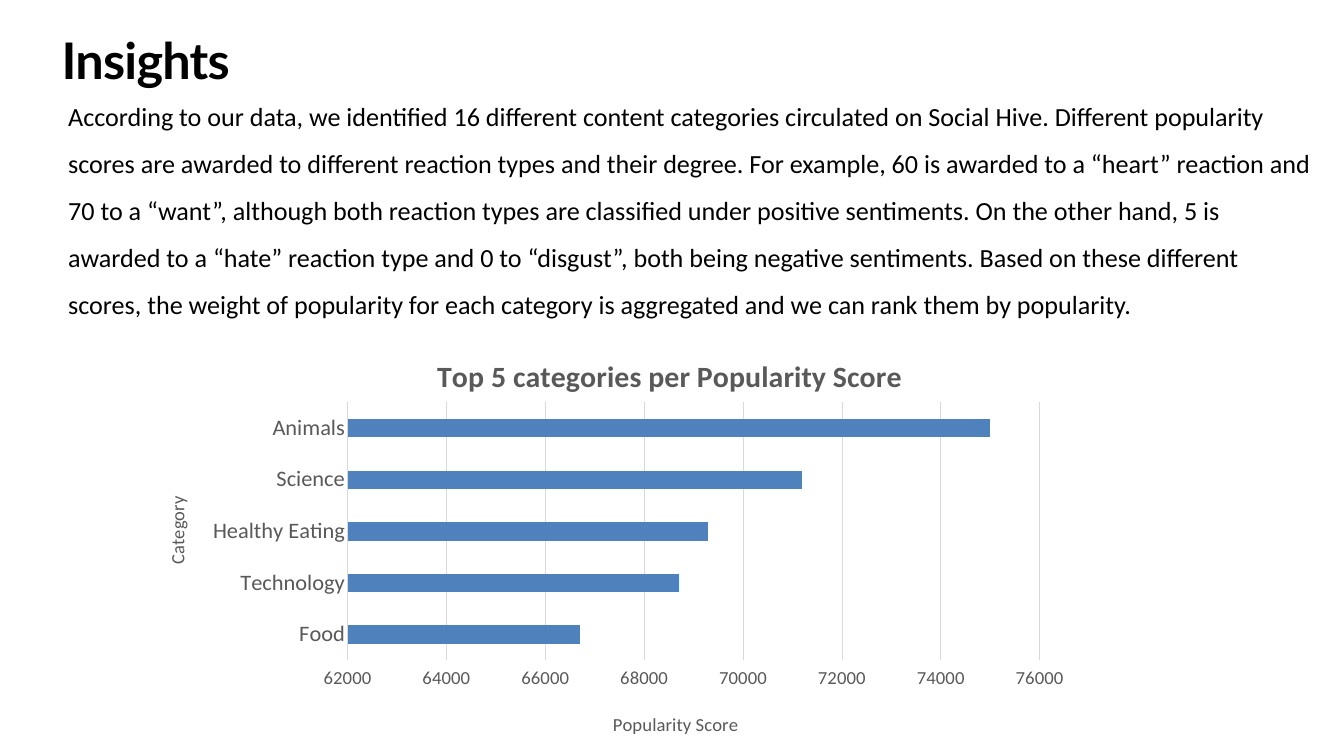
from lxml.etree import SubElement
from pptx import Presentation
from pptx.chart.data import CategoryChartData
from pptx.dml.color import RGBColor
from pptx.enum.chart import XL_CHART_TYPE, XL_TICK_LABEL_POSITION, XL_TICK_MARK
from pptx.enum.text import MSO_AUTO_SIZE
from pptx.oxml.ns import qn
from pptx.util import Pt

# Content
HEADING = "Insights"
BODY = (
    "According to our data, we identified 16 different content categories "
    "circulated on Social Hive. Different popularity scores are awarded to "
    "different reaction types and their degree. For example, 60 is awarded to a "
    "“heart” reaction and 70 to a “want”, although both reaction types are "
    "classified under positive sentiments. On the other hand, 5 is awarded to a "
    "“hate” reaction type and 0 to “disgust”, both being negative sentiments. "
    "Based on these different scores, the weight of popularity for each category "
    "is aggregated and we can rank them by popularity."
)
CHART_TITLE = "Top 5 categories per Popularity Score"
CATEGORY_TITLE = "Category"
SCORE_TITLE = "Popularity Score"
SCORES = [
    ("Animals", 75000),
    ("Science", 71200),
    ("Healthy Eating", 69300),
    ("Technology", 68700),
    ("Food", 66700),
]


class Theme:
    heading_font, body_font = "Lato", "Calibri"
    black = RGBColor(0, 0, 0)
    gray = RGBColor(0x59, 0x59, 0x59)
    rule = RGBColor(0xD9, 0xD9, 0xD9)
    bar = RGBColor(0x4F, 0x81, 0xBD)
    heading, body = 54, 28
    chart_title, category, score, axis_title = 32, 24, 20, 20


LEFT = 66
HEADING_HEIGHT = 87

# Places inside the chart, as shares of its width and height
PLOT_PLACE = {"x": 0.21, "y": 0.16, "w": 0.74, "h": 0.65}
CHART_TITLE_PLACE = {"x": 0.3, "y": 0.03}
CATEGORY_TITLE_PLACE = {"x": 0.01, "y": 0.39}
SCORE_TITLE_PLACE = {"x": 0.49, "y": 0.93}


def style(font, name, size, color, bold=False):
    font.name, font.size, font.bold = name, Pt(size), bold
    font.color.rgb = color


def add_text(page, text, area, font_name, size, spacing, bold=False):
    box = page.shapes.add_textbox(*map(Pt, area))
    frame = box.text_frame
    frame.word_wrap = True
    frame.auto_size = MSO_AUTO_SIZE.SHAPE_TO_FIT_TEXT
    frame.text = text
    para = frame.paragraphs[0]
    para.line_spacing = spacing
    style(para.runs[0].font, font_name, size, Theme.black, bold)
    return frame


def place(element, shares, position, target=None):
    """Give a plot area or title a fixed place inside the chart."""
    layout = element.find(qn("c:layout"))
    if layout is None:
        layout = SubElement(element, qn("c:layout"))
        element.insert(position, layout)
    manual = SubElement(layout, qn("c:manualLayout"))
    settings = {"layoutTarget": target} if target else {}
    settings.update(xMode="edge", yMode="edge", **shares)
    for name, value in settings.items():
        SubElement(manual, qn(f"c:{name}")).set("val", str(value))


def set_title(title, text, size, shares, bold=False):
    frame = title.text_frame
    frame.text = text
    style(frame.paragraphs[0].runs[0].font, Theme.body_font, size, Theme.gray, bold)
    place(title._element, shares, 1)


def rule_line(line):
    line.color.rgb = Theme.rule
    line.width = Pt(0.75)


def add_score_chart(page):
    data = CategoryChartData()
    data.categories = [name for name, _ in SCORES]
    data.add_series("Series 1", [score for _, score in SCORES])
    chart = page.shapes.add_chart(
        XL_CHART_TYPE.BAR_CLUSTERED, Pt(162), Pt(363), Pt(1002), Pt(432), data
    ).chart
    chart.has_legend = False
    style(chart.font, Theme.body_font, 10, Theme.black)
    set_title(chart.chart_title, CHART_TITLE, Theme.chart_title,
              CHART_TITLE_PLACE, bold=True)
    place(chart._chartSpace.chart.plotArea, PLOT_PLACE, 0, target="inner")

    # Bars
    plot = chart.plots[0]
    plot.gap_width = 182
    plot.vary_by_categories = False
    fill = plot.series[0].format.fill
    fill.solid()
    fill.fore_color.rgb = Theme.bar

    # Axes
    categories, values = chart.category_axis, chart.value_axis
    for axis, title, size, shares in (
        (categories, CATEGORY_TITLE, Theme.category, CATEGORY_TITLE_PLACE),
        (values, SCORE_TITLE, Theme.score, SCORE_TITLE_PLACE),
    ):
        set_title(axis.axis_title, title, Theme.axis_title, shares)
        style(axis.tick_labels.font, Theme.body_font, size, Theme.gray)
        axis.major_tick_mark = axis.minor_tick_mark = XL_TICK_MARK.NONE
    categories.reverse_order = True
    rule_line(categories.format.line)
    values.tick_label_position = XL_TICK_LABEL_POSITION.HIGH
    values.minimum_scale, values.maximum_scale, values.major_unit = 62000, 76000, 2000
    values.tick_labels.number_format = "0"
    values.tick_labels.number_format_is_linked = False
    values.format.line.fill.background()
    values.has_major_gridlines = True
    rule_line(values.major_gridlines.format.line)


def main():
    deck = Presentation()
    deck.slide_width, deck.slide_height = Pt(1440), Pt(810)
    page = deck.slides.add_slide(deck.slide_layouts[6])

    # Heading
    frame = add_text(page, HEADING, (LEFT, 0, 365, HEADING_HEIGHT),
                     Theme.heading_font, Theme.heading, Pt(96), bold=True)
    frame.margin_left = frame.margin_right = frame.margin_top = frame.margin_bottom = 0
    frame.paragraphs[0].runs[0]._r.get_or_add_rPr().set("spc", "-80")

    # Explanation
    add_text(page, BODY, (LEFT, HEADING_HEIGHT, 1350, 256),
             Theme.body_font, Theme.body, 1.5)

    add_score_chart(page)
    deck.save("out.pptx")


if __name__ == "__main__":
    main()
